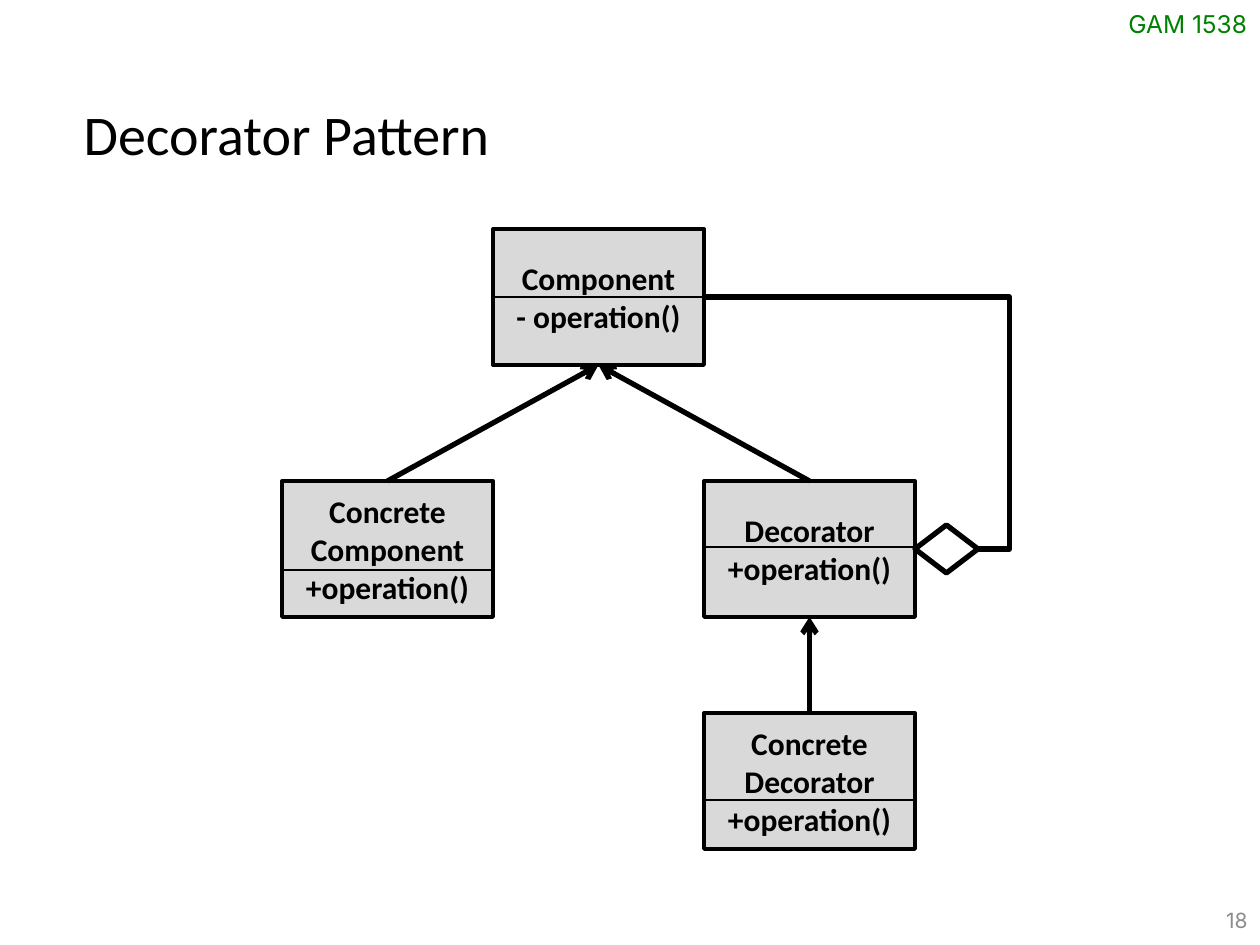
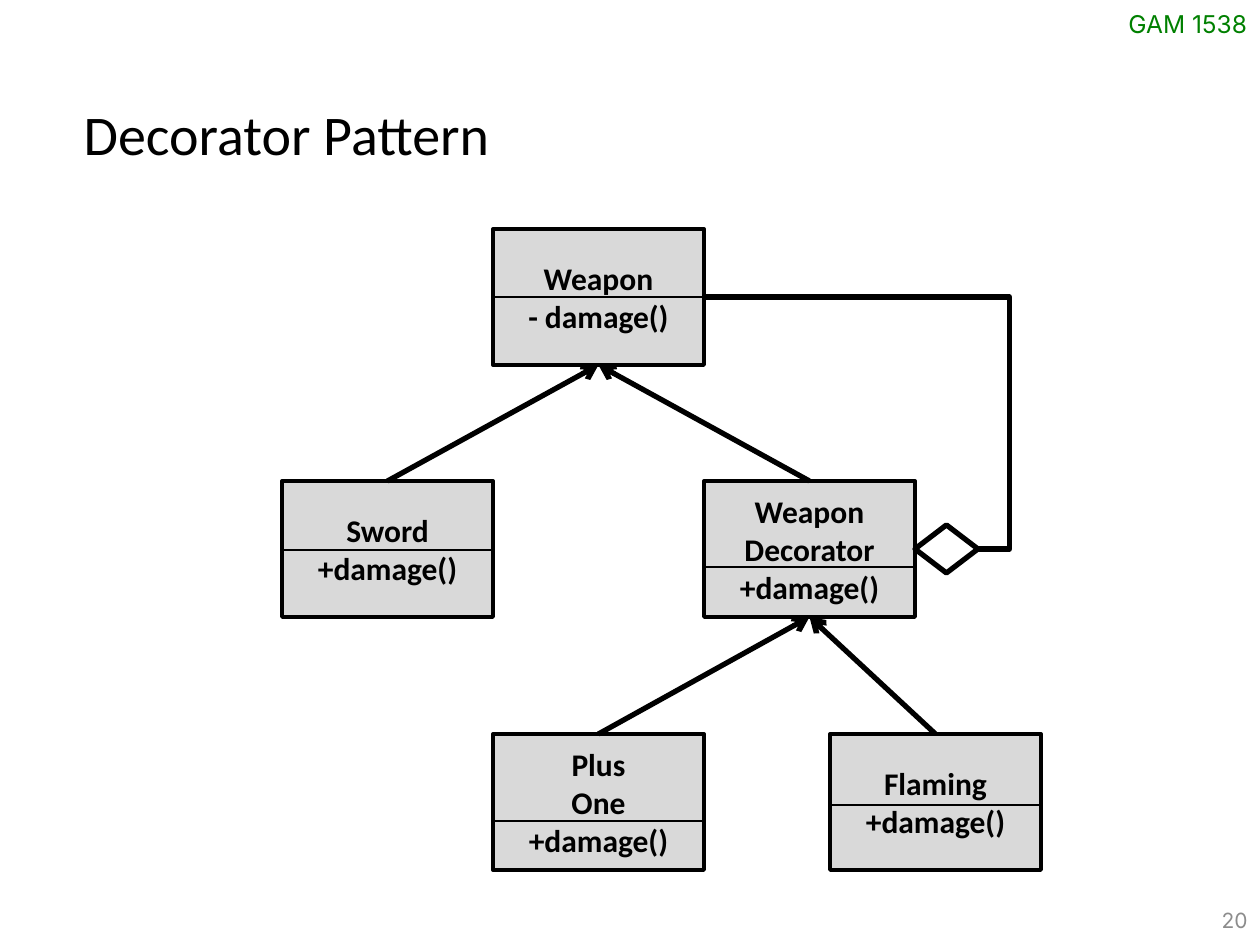
from lxml.etree import SubElement
from pptx import Presentation
from pptx.dml.color import RGBColor
from pptx.enum.shapes import MSO_CONNECTOR, MSO_SHAPE
from pptx.enum.text import MSO_ANCHOR, MSO_AUTO_SIZE, PP_ALIGN
from pptx.oxml.ns import qn
from pptx.util import Pt

SCALE = 914400 / 126
COLORS = {"ink": "000000", "box": "D9D9D9", "paper": "FFFFFF",
          "tag": "008000", "page": "8C8C8C"}
BOX_W, BOX_H = 211, 136
LEFT, MID, RIGHT = (282 + BOX_W * i for i in range(3))
TOP, ROW = 229, 481
TOP_SPLIT = 68


def px(*values):
    return [round(v * SCALE) for v in values]


def color(name):
    return RGBColor.from_string(COLORS[name])


class Deck:
    def __init__(self):
        self.prs = Presentation()
        self.prs.slide_width, self.prs.slide_height = px(1260, 945)

    def start(self, title, number):
        self.slide = self.prs.slides.add_slide(self.prs.slide_layouts[5])
        self.shapes = self.slide.shapes
        head = self.shapes.title
        head.left, head.top, head.width, head.height = px(71, 93, 1134, 81)
        self.style(head, title, 32, "Calibri", "ink")
        self.label("GAM 1538", (1116, 3, 144, 43), 14, "tag")
        self.label(number, (966, 895, 294, 50), 12, "page",
                   PP_ALIGN.RIGHT, MSO_ANCHOR.MIDDLE)

    def style(self, shape, text, size, face, tone, align=PP_ALIGN.LEFT,
              anchor=MSO_ANCHOR.TOP, bold=False):
        frame = shape.text_frame
        frame.text = text
        frame.word_wrap = True
        frame.auto_size = MSO_AUTO_SIZE.NONE
        frame.vertical_anchor = anchor
        for para in frame.paragraphs:
            para.alignment = align
            font = para.font
            font.size, font.name, font.bold = Pt(size), face, bold
            font.color.rgb = color(tone)

    def label(self, text, area, size, tone, align=PP_ALIGN.LEFT,
              anchor=MSO_ANCHOR.TOP):
        box = self.shapes.add_textbox(*px(*area))
        self.style(box, text, size, "Inter", tone, align, anchor)

    def shape(self, kind, area, fill, width):
        item = self.shapes.add_shape(kind, *px(*area))
        item.shadow.inherit = False
        item.fill.solid()
        item.fill.fore_color.rgb = color(fill)
        item.line.color.rgb = color("ink")
        item.line.width = Pt(width)
        return item

    def line(self, ends, width, kind=MSO_CONNECTOR.STRAIGHT, arrow=False):
        item = self.shapes.add_connector(kind, *px(*ends))
        item.line.color.rgb = color("ink")
        item.line.width = Pt(width)
        props = item._element.spPr
        if arrow:
            SubElement(props.find(qn("a:ln")), qn("a:tailEnd"), type="arrow")
        SubElement(props, qn("a:effectLst"))
        return item

    def box(self, text, x, y, split):
        item = self.shape(MSO_SHAPE.RECTANGLE, (x, y, BOX_W, BOX_H), "box", 2.25)
        self.style(item, text, 18, "Calibri", "ink", PP_ALIGN.CENTER,
                   MSO_ANCHOR.MIDDLE, True)
        self.line((x, y + split, x + BOX_W, y + split), 1.5)
        return item

    def inherit(self, child, parent):
        item = self.line((0, 0, 0, 0), 3, arrow=True)
        item.begin_connect(child, 0)
        item.end_connect(parent, 2)

    def loop(self):
        x, y = RIGHT + BOX_W, ROW + BOX_H // 2
        self.shape(MSO_SHAPE.DIAMOND, (x, y - 24, 63, 48), "paper", 3)
        item = self.line((x + 63, y, RIGHT, TOP + TOP_SPLIT), 3,
                         MSO_CONNECTOR.ELBOW)
        geom = item._element.spPr.find(qn("a:prstGeom"))
        guides = geom.find(qn("a:avLst"))
        if guides is None:
            guides = SubElement(geom, qn("a:avLst"))
        SubElement(guides, qn("a:gd"), name="adj1", fmla="val -11500")

    def diagram(self, number, base, plain, wrapper, leaves):
        self.start("Decorator Pattern", number)
        root = self.box(base, MID, TOP, TOP_SPLIT)
        self.inherit(self.box(plain[0], LEFT, ROW, plain[1]), root)
        outer = self.box(wrapper[0], RIGHT, ROW, wrapper[1])
        self.inherit(outer, root)
        self.loop()
        for leaf in leaves:
            self.inherit(self.box(*leaf), outer)


deck = Deck()
deck.diagram("18", "Component\n- operation()",
             ("Concrete\nComponent\n+operation()", 89),
             ("Decorator\n+operation()", 66),
             [("Concrete\nDecorator\n+operation()", RIGHT, 713, 87)])
deck.diagram("20", "Weapon\n- damage()",
             ("Sword\n+damage()", 69),
             ("Weapon\nDecorator\n+damage()", 86),
             [("Plus\vOne\n+damage()", MID, 734, 87),
              ("Flaming\n+damage()", 830, 734, 71)])
deck.prs.save("out.pptx")
